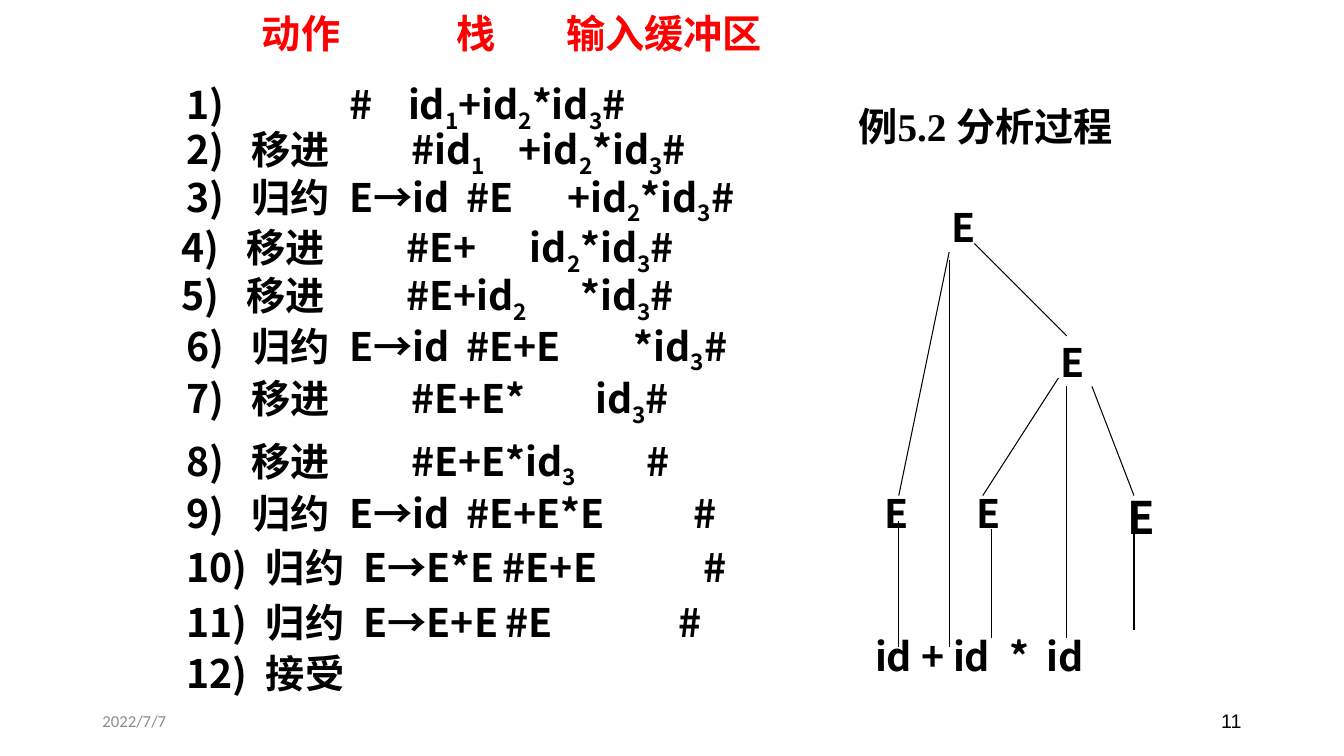
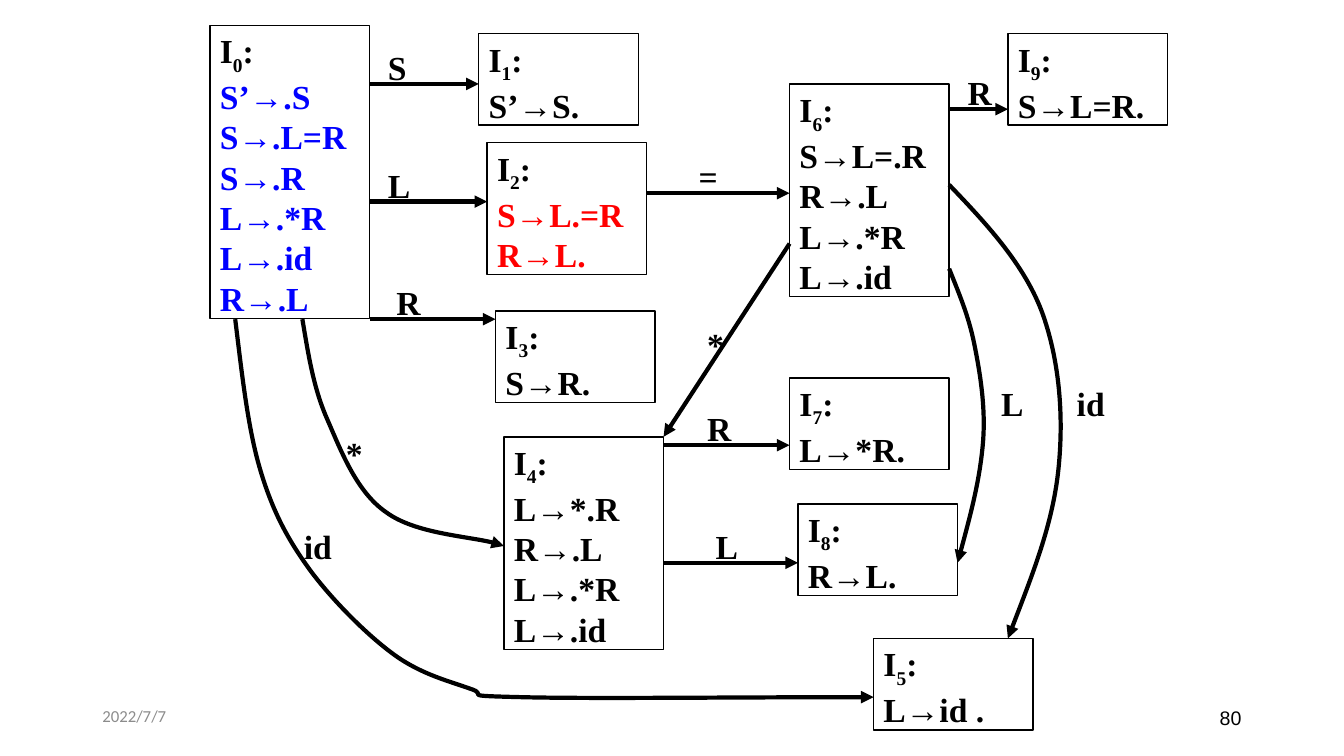
from dataclasses import dataclass, replace
from typing import Optional, Sequence

from lxml.etree import SubElement
from pptx import Presentation
from pptx.dml.color import RGBColor
from pptx.enum.shapes import MSO_CONNECTOR, MSO_SHAPE
from pptx.enum.text import MSO_ANCHOR, MSO_AUTO_SIZE, PP_ALIGN
from pptx.oxml.ns import qn
from pptx.util import Emu, Inches, Pt

BLACK = RGBColor(0x00, 0x00, 0x00)
RED = RGBColor(0xFF, 0x00, 0x00)
BLUE = RGBColor(0x00, 0x00, 0xFF)
GRAY = RGBColor(0x8C, 0x8C, 0x8C)
COLS, ROWS = 160, 90
CELL = Inches(1) // 12

Point = tuple[float, float]


@dataclass(frozen=True)
class Style:
    latin: str
    asian: str
    size: float
    color: RGBColor = BLACK
    bold: bool = True


@dataclass(frozen=True)
class Para:
    text: str
    style: Style
    spacing: Optional[float] = None
    stops: Sequence[float] = ()
    align: PP_ALIGN = PP_ALIGN.LEFT


@dataclass(frozen=True)
class Step:
    x: float
    y: float
    spacing: float
    text: str
    stops: Sequence[float]


@dataclass(frozen=True)
class State:
    x: float
    y: float
    number: int
    items: Sequence[str]
    color: RGBColor = BLACK


@dataclass(frozen=True)
class Edge:
    label: str
    at: Point
    points: Sequence[Point]


SANS = Style("Noto Sans CJK SC", "Noto Sans CJK SC", 28)
SERIF = Style("Times New Roman", "Times New Roman", 24)
TITLE = Style("Times New Roman", "Noto Sans CJK SC", 28)
DATE = Style("Calibri", "Calibri", 12, GRAY, False)
NUMBER = Style("Arial", "Arial", 14, BLACK, False)

STEPS = [
    Step(21, 9.1, 0.9, "1)\t#\tid_1+id_2*id_3#", (1.62, 2.2)),
    Step(21, 14.3, 1, "2)\t移进\t#id_1\t+id_2*id_3#", (0.65, 2.23, 3.3)),
    Step(21, 20, 1, "3)\t归约\tE→id\t#E\t+id_2*id_3#", (0.65, 1.62, 2.78, 3.78)),
    Step(20.4, 26, 1, "4)\t移进\t#E+\tid_2*id_3#", (0.65, 2.23, 3.46)),
    Step(20.4, 31.1, 1.1, "5)\t移进\t#E+id_2\t*id_3#", (0.65, 2.23, 3.96)),
    Step(21, 37.1, 1.1, "6)\t归约\tE→id\t#E+E\t*id_3#", (0.65, 1.62, 2.78, 4.44)),
    Step(21, 44, 1, "7)\t移进\t#E+E*\tid_3#", (0.65, 2.23, 4.06)),
    Step(21, 51.5, 0.9, "8)\t移进\t#E+E*id_3\t#", (0.65, 2.23, 4.57)),
    Step(21, 57.1, 1.1, "9)\t归约\tE→id\t#E+E*E\t#", (0.65, 1.62, 2.78, 5.03)),
    Step(21, 64.1, 1, "10)\t归约\tE→E*E\t#E+E\t#", (0.79, 1.76, 3.14, 5.13)),
    Step(21, 70.1, 1.1, "11)\t归约\tE→E+E\t#E\t#", (0.79, 1.76, 3.17, 4.88)),
    Step(21, 76.1, 1.1, "12)\t接受", (0.79,)),
]

TREE_NODES = [(112.1, 23.1, 28), (125.1, 39.1, 28), (104.1, 57.1, 28),
              (115.1, 57.1, 28), (133.1, 57.1, 32)]
BRANCHES = [
    ((107, 59), (113, 30)), ((113, 77), (113, 31)), ((127, 40), (116, 29)),
    ((135, 59), (130, 46)), ((127, 76), (127, 46)), ((117, 59), (126, 45)),
    ((107, 77), (107, 62)), ((118, 76), (118, 63)), ((135, 75), (135, 63)),
]

STATES = [
    State(25, 3, 0, ["S’→.S", "S→.L=R", "S→.R", "L→.*R", "L→.id", "R→.L"], BLUE),
    State(57, 4, 1, ["S’→S."]),
    State(58, 17, 2, ["S→L.=R", "R→L."], RED),
    State(59, 37, 3, ["S→R."]),
    State(60, 52, 4, ["L→*.R", "R→.L", "L→.*R", "L→.id"]),
    State(104, 76, 5, ["L→id ."]),
    State(94, 10, 6, ["S→L=.R", "R→.L", "L→.*R", "L→.id"]),
    State(94, 45, 7, ["L→*R."]),
    State(95, 60, 8, ["R→L."]),
    State(120, 4, 9, ["S→L=R."]),
]

EDGES = [
    Edge("S", (45, 5), [(44, 10), (57, 10)]),
    Edge("L", (45, 19), [(44, 24), (58, 24)]),
    Edge("R", (46, 33), [(44, 38), (59, 38)]),
    Edge("=", (82, 18), [(77, 23), (94, 23)]),
    Edge("R", (83, 48), [(79, 53), (94, 53)]),
    Edge("L", (84, 62), [(79, 67), (95, 67)]),
    Edge("R", (114, 8), [(113, 13), (120, 13)]),
    Edge("*", (83, 38), [(94, 29), (79, 52)]),
    Edge("id", (35, 62), [
        (28, 38), (28.8, 44.5), (29.5, 51), (31, 56), (32.5, 61), (34.3, 64.3), (37, 68),
        (39.7, 71.6), (43.8, 75.7), (47, 78), (50.2, 80.3), (53.5, 81.1), (56, 82),
        (58.5, 82.8), (54, 82.8), (62, 83), (70, 83.2), (87, 83), (104, 83)]),
    Edge("*", (40, 51), [
        (36, 38), (36.7, 42.1), (37.3, 46.2), (39, 50), (40.7, 53.9), (42.5, 58.6),
        (46, 61), (49.4, 63.5), (57.8, 64), (60, 65)]),
    Edge("L", (118, 45), [
        (113, 32), (114.1, 34.8), (115.3, 37.5), (116, 41), (116.7, 44.5), (117.4, 48.7),
        (117, 53), (116.6, 57.4), (115.3, 62.2), (114, 67)]),
    Edge("id", (127, 45), [
        (113, 22), (117.4, 26.6), (121.8, 31.3), (124, 37), (126.1, 42.7), (126.7, 49.4),
        (126, 56), (125.3, 62.5), (122.6, 69.2), (120, 76)]),
]


def grid(n: float) -> Emu:
    return Emu(round(n * CELL))


def assign(obj, values: dict) -> None:
    for key, value in values.items():
        setattr(obj, key, value)


def add_run(p, text: str, style: Style, sub: bool = False) -> None:
    r = p.add_run()
    r.text = text
    assign(r.font, {"name": style.latin, "size": Pt(style.size), "bold": style.bold})
    r.font.color.rgb = style.color
    rPr = r._r.get_or_add_rPr()
    SubElement(rPr, qn("a:ea")).set("typeface", style.asian)
    if sub:
        rPr.set("baseline", "-25000")


def write(sp, paras: Sequence[Para], wrap: bool = True, anchor: MSO_ANCHOR = MSO_ANCHOR.TOP,
          fit: MSO_AUTO_SIZE = MSO_AUTO_SIZE.SHAPE_TO_FIT_TEXT) -> None:
    tf = sp.text_frame
    assign(tf, {"word_wrap": wrap, "vertical_anchor": anchor, "auto_size": fit})
    for i, para in enumerate(paras):
        p = tf.add_paragraph() if i else tf.paragraphs[0]
        assign(p, {"alignment": para.align, "line_spacing": para.spacing})
        if para.stops:
            tabs = SubElement(p._p.get_or_add_pPr(), qn("a:tabLst"))
            for stop in para.stops:
                tab = SubElement(tabs, qn("a:tab"))
                tab.set("pos", str(Inches(stop)))
                tab.set("algn", "l")
        head, *rest = para.text.split("_")
        add_run(p, head, para.style)
        for part in rest:
            add_run(p, part[0], para.style, sub=True)
            if part[1:]:
                add_run(p, part[1:], para.style)


def place(sp, x: float, y: float, w: float, h: float) -> None:
    assign(sp, {"left": grid(x), "top": grid(y), "width": grid(w), "height": grid(h)})


def add_text(s, x: float, y: float, w: float, h: float, para: Para, **options) -> None:
    tb = s.shapes.add_textbox(grid(x), grid(y), grid(w), grid(h))
    write(tb, [para], **options)


def add_footer(s, number: str, anchor: MSO_ANCHOR) -> None:
    for x, para in ((11, Para("2022/7/7", DATE)),
                    (113, Para(number, NUMBER, align=PP_ALIGN.RIGHT))):
        add_text(s, x, 83.4, 36, 4.8, para, anchor=anchor, fit=MSO_AUTO_SIZE.NONE)


def ink(sp, width: float, arrow: bool = False) -> None:
    sp.line.color.rgb = BLACK
    sp.line.width = Pt(width)
    if arrow:
        SubElement(sp.line._get_or_add_ln(), qn("a:tailEnd")).set("type", "triangle")


def add_line(s, start: Point, end: Point, width: float, arrow: bool = False) -> None:
    c = s.shapes.add_connector(MSO_CONNECTOR.STRAIGHT, *map(grid, (*start, *end)))
    ink(c, width, arrow)
    SubElement(c._element.spPr, qn("a:effectLst"))


def add_curve(s, points: Sequence[Point], width: float) -> None:
    fb = s.shapes.build_freeform(*map(grid, points[0]))
    fb.add_line_segments([(grid(x), grid(y)) for x, y in points[1:]], close=False)
    sp = fb.convert_to_shape()
    outline = next(sp._element.iter(qn("a:path")))
    segments = outline.findall(qn("a:lnTo"))
    for i in range(0, len(segments), 3):
        bezier = SubElement(outline, qn("a:cubicBezTo"))
        for segment in segments[i:i + 3]:
            bezier.append(segment[0])
            outline.remove(segment)
    sp.fill.background()
    sp.shadow.inherit = False
    ink(sp, width, arrow=True)


def add_state(s, state: State) -> None:
    h = 4.8 * (len(state.items) + 1) + 1.3
    sp = s.shapes.add_shape(MSO_SHAPE.RECTANGLE, *map(grid, (state.x, state.y, 19, h)))
    sp.fill.background()
    sp.shadow.inherit = False
    ink(sp, 1)
    item_style = replace(SERIF, color=state.color)
    write(sp, [Para(f"I_{state.number}:", SERIF)] + [Para(t, item_style) for t in state.items])


def add_edge(s, edge: Edge) -> None:
    if len(edge.points) == 2:
        add_line(s, *edge.points, 3, arrow=True)
    else:
        add_curve(s, edge.points, 3)
    add_text(s, *edge.at, 8, 6, Para(edge.label, SERIF))


def build_parse_slide(prs) -> None:
    s = prs.slides.add_slide(prs.slide_layouts[5])
    title = s.shapes.title
    place(title, 101, 11, 37, 7)
    write(title, [Para("例5.2 分析过程", TITLE, 1.1)])
    add_text(s, 30, 0, 70, 7,
             Para("动作\t栈\t输入缓冲区", replace(SANS, color=RED), 1.1, (1.93, 3.02)))
    for t in STEPS:
        add_text(s, t.x, t.y, 79, 6.8, Para(t.text, SANS, t.spacing, t.stops))
    for start, end in BRANCHES:
        add_line(s, start, end, 0.75)
    for x, y, size in TREE_NODES:
        add_text(s, x, y, 5, 6.7, Para("E", replace(SANS, size=size), 1.1), wrap=False)
    add_text(s, 103, 74.1, 36, 6.7, Para("id + id\t*\tid", SANS, 1.1, (1.33, 1.7)))
    add_footer(s, "11", MSO_ANCHOR.MIDDLE)


def build_automaton_slide(prs) -> None:
    s = prs.slides.add_slide(prs.slide_layouts[6])
    add_footer(s, "80", MSO_ANCHOR.TOP)
    for state in STATES:
        add_state(s, state)
    for edge in EDGES:
        add_edge(s, edge)


prs = Presentation()
assign(prs, {"slide_width": grid(COLS), "slide_height": grid(ROWS)})
build_parse_slide(prs)
build_automaton_slide(prs)
prs.save("out.pptx")
